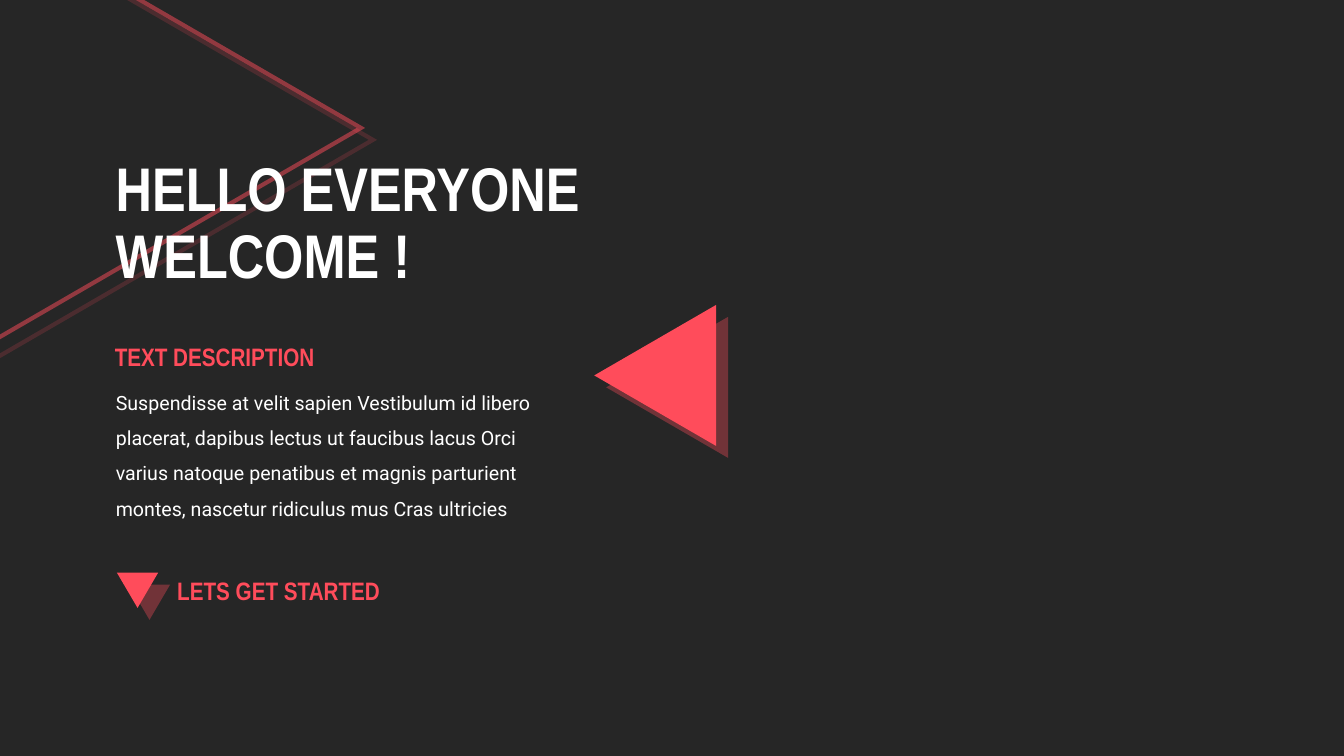
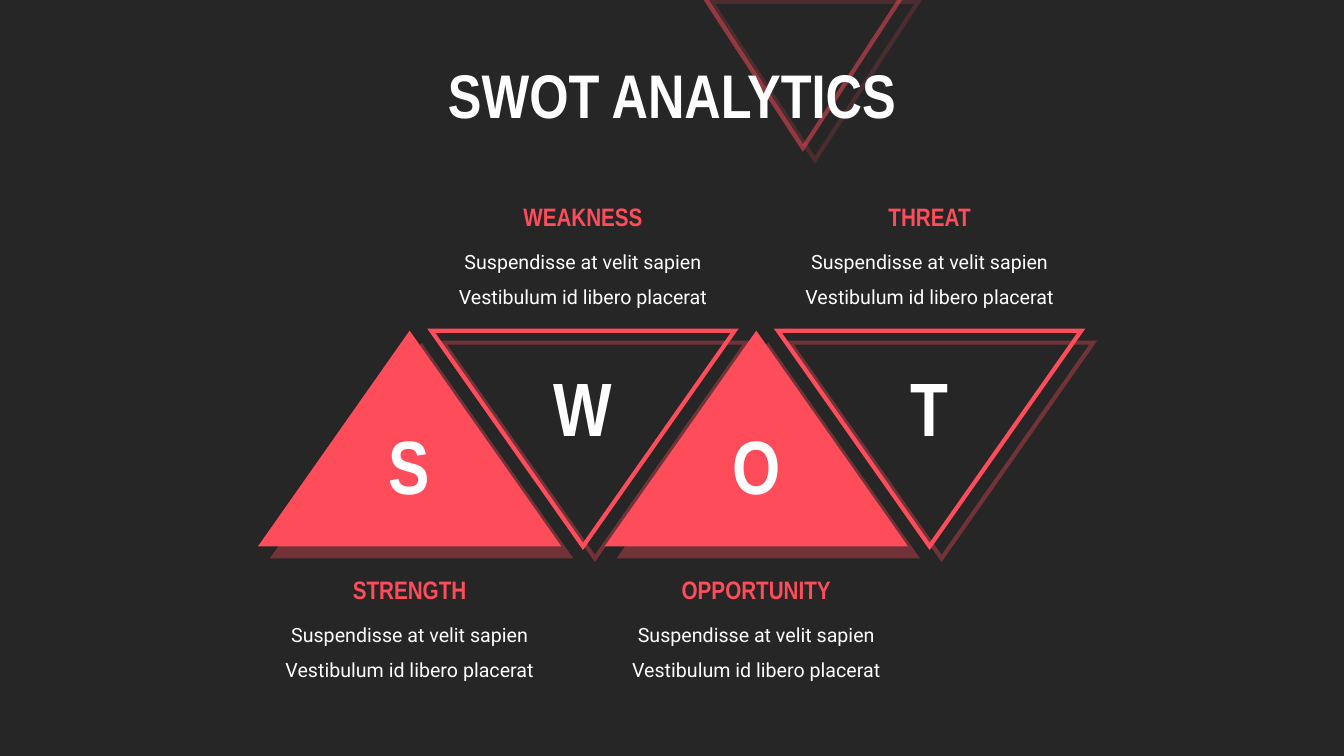
import pptx
import pptx.util
import pptx.dml.color
import pptx.enum.shapes
import pptx.enum.text
import pptx.oxml
import pptx.oxml.ns

Pt = pptx.util.Pt
qn = pptx.oxml.ns.qn
ALIGN = pptx.enum.text.PP_ALIGN

# Shared look
COLORS = {"background": "262626", "accent": "FF4C5B", "text": "FFFFFF"}
STYLES = {
    "title": {"font": "Arial Narrow", "size": 44, "color": "text", "bold": True, "spacing": 0.9},
    "heading": {"font": "Arial Narrow", "size": 18, "color": "accent", "bold": True, "spacing": 1},
    "letter": {"font": "Arial Narrow", "size": 54, "color": "text", "bold": True, "spacing": 1},
    "body": {"font": "Roboto", "size": 14, "color": "text", "bold": False, "spacing": 1.5},
}
SHADOW_DISTANCE = 12.1
SHADOW_ANGLE = 45
SHADOW_OPACITY = 35
HEADING_WIDTH, HEADING_HEIGHT = 176.4, 28.8


def rgb(name):
    return pptx.dml.color.RGBColor.from_string(COLORS[name])


def add_child(parent, tag, **attributes):
    child = parent.makeelement(qn(tag), {key: str(value) for key, value in attributes.items()})
    parent.append(child)
    return child


def add_slide(presentation):
    slide = presentation.slides.add_slide(presentation.slide_layouts[6])
    slide.background.fill.solid()
    slide.background.fill.fore_color.rgb = rgb("background")
    return slide


def add_text(slide, style_name, lines, left, top, width, height, align=ALIGN.LEFT):
    """Add one paragraph; the given lines are parted by line breaks."""
    style = STYLES[style_name]
    box = slide.shapes.add_textbox(Pt(left), Pt(top), Pt(width), Pt(height))
    frame = box.text_frame
    frame.word_wrap = True
    if style_name == "title":
        frame.vertical_anchor = pptx.enum.text.MSO_ANCHOR.MIDDLE
    paragraph = frame.paragraphs[0]
    paragraph.alignment = align
    paragraph.line_spacing = style["spacing"]
    for index, line in enumerate(lines):
        if index:
            paragraph.add_line_break()
        run = paragraph.add_run()
        run.text = line
        run.font.name = style["font"]
        run.font.size = Pt(style["size"])
        run.font.bold = style["bold"]
        run.font.color.rgb = rgb(style["color"])


def add_shadow(shape):
    shape.shadow.inherit = False
    effects = shape._element.spPr.find(qn("a:effectLst"))
    shadow = add_child(effects, "a:outerShdw", blurRad=0, dist=int(Pt(SHADOW_DISTANCE)),
                       dir=SHADOW_ANGLE * 60000, algn="tl", rotWithShape=0)
    color = add_child(shadow, "a:srgbClr", val=COLORS["accent"])
    add_child(color, "a:alpha", val=SHADOW_OPACITY * 1000)


def add_triangle(slide, left, top, width, height, rotation=0, filled=True, opacity=100):
    """Add a shadowed triangle, either filled or outlined."""
    triangle = slide.shapes.add_shape(pptx.enum.shapes.MSO_SHAPE.ISOSCELES_TRIANGLE,
                                      Pt(left), Pt(top), Pt(width), Pt(height))
    triangle.rotation = rotation
    if filled:
        triangle.fill.solid()
        triangle.fill.fore_color.rgb = rgb("accent")
        triangle.line.fill.background()
    else:
        triangle.fill.background()
        triangle.line.width = Pt(3)
        triangle.line.color.rgb = rgb("accent")
        outline = triangle._element.spPr.find(qn("a:ln"))
        if opacity < 100:
            add_child(outline.find(".//" + qn("a:srgbClr")), "a:alpha", val=opacity * 1000)
        add_child(outline, "a:miter", lim=800000)
    add_shadow(triangle)


def build_welcome(presentation):
    slide = add_slide(presentation)
    add_triangle(slide, -37.4, -45.4, 316.8, 273.6, rotation=90, filled=False, opacity=50)
    add_text(slide, "title", ["HELLO EVERYONE", "WELCOME !"], 75.6, 103.7, 540, 113.8)
    add_triangle(slide, 417.6, 224.6, 100.8, 87.1, rotation=270)

    # Description
    add_text(slide, "body", [
        "Suspendisse at velit sapien Vestibulum id libero placerat, dapibus lectus ut faucibus "
        "lacus Orci varius natoque penatibus et magnis parturient montes, nascetur ridiculus "
        "mus Cras ultricies"], 75.6, 267.1, 324.7, 108)
    add_text(slide, "heading", ["TEXT DESCRIPTION"], 74.9, 240.5, HEADING_WIDTH, HEADING_HEIGHT)

    # Call to start
    add_triangle(slide, 83.5, 409, 29.5, 25.2, rotation=180)
    add_text(slide, "heading", ["LETS GET STARTED"], 119.5, 407.5, HEADING_WIDTH, HEADING_HEIGHT)


def build_swot(presentation):
    slide = add_slide(presentation)
    add_triangle(slide, 499.7, -7.2, 147.6, 113, rotation=180, filled=False, opacity=50)
    add_text(slide, "title", ["SWOT ANALYTICS"], 235.4, 35.3, 489.6, 70.6, ALIGN.CENTER)

    first_center, step = 292.6, 123.8
    width, height = 216.7, 154.1
    topics = [(first_center + index * step, index % 2 == 0, name)
              for index, name in enumerate(["STRENGTH", "WEAKNESS", "OPPORTUNITY", "THREAT"])]

    def add_centered(style_name, text, center, top, box_width, box_height):
        add_text(slide, style_name, [text], center - box_width / 2, top,
                 box_width, box_height, ALIGN.CENTER)

    # Row of triangles, alternately pointing up and down
    for center, points_up, name in topics:
        add_triangle(slide, center - width / 2, 236.2, width, height,
                     rotation=0 if points_up else 180, filled=points_up)

    # Letters, and captions on the wide side of each triangle
    for center, points_up, name in topics:
        caption_top = 406.8 if points_up else 140.4
        add_centered("letter", name[0], center, 295.9 if points_up else 254.2, 72.7, 72)
        add_centered("body", "Suspendisse at velit sapien Vestibulum id libero placerat",
                     center, caption_top + 25.9, 214.6, 57.6)
        add_centered("heading", name, center, caption_top, HEADING_WIDTH, HEADING_HEIGHT)


def main():
    presentation = pptx.Presentation()
    presentation.slide_width = Pt(960)
    presentation.slide_height = Pt(540)
    build_welcome(presentation)
    build_swot(presentation)
    presentation.save("out.pptx")


if __name__ == "__main__":
    main()
